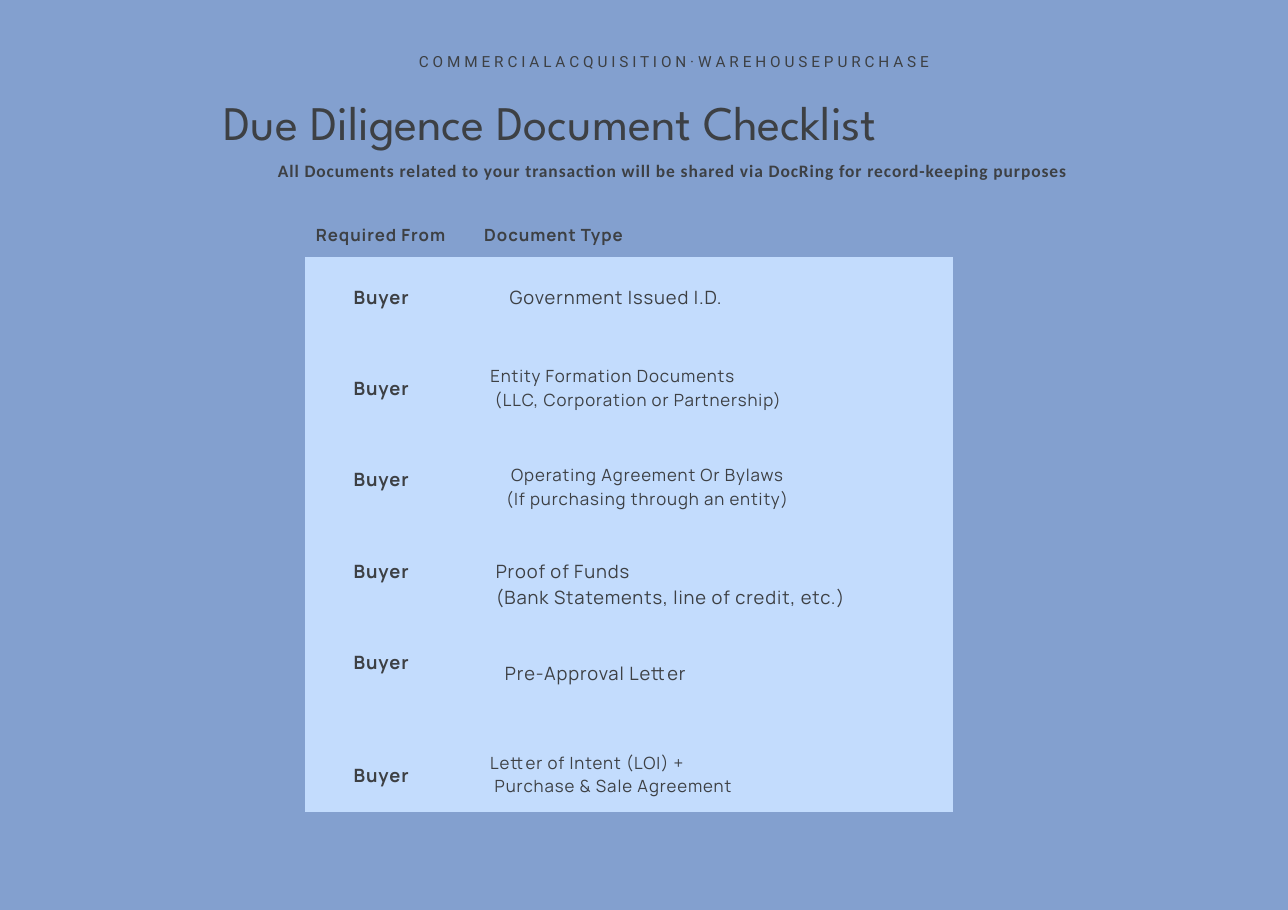
from dataclasses import dataclass

import pptx
import pptx.dml.color
import pptx.enum.text
import pptx.oxml.ns
import pptx.util
from lxml import etree
from pptx.util import Inches

ALIGN = pptx.enum.text.PP_ALIGN


@dataclass(frozen=True)
class Theme:
    background: str = "83A0CF"
    panel: str = "C3DCFD"
    ink: str = "3D4044"
    title_font: str = "League Spartan"
    caption_font: str = "Roboto"
    note_font: str = "Calibri"
    body_font: str = "Manrope"
    title_size: float = 31.5
    caption_size: float = 10
    note_size: float = 11.4
    small_size: float = 11
    body_size: float = 12
    tracking: float = 0.6


THEME = Theme()


@dataclass(frozen=True)
class Style:
    font: str
    size: float
    leading: float
    bold: bool = False
    tracking: float = THEME.tracking


TITLE = Style(THEME.title_font, THEME.title_size, 37.8, tracking=0)
CAPTION = Style(THEME.caption_font, THEME.caption_size, 14, tracking=0.07)
NOTE = Style(THEME.note_font, THEME.note_size, 13.6, bold=True)
HEADING = Style(THEME.body_font, THEME.small_size, 15.4, bold=True)
PARTY = Style(THEME.body_font, THEME.body_size, 16.8, bold=True)
BODY = Style(THEME.body_font, THEME.body_size, 16.8)
SMALL = Style(THEME.body_font, THEME.small_size, 15.4)


@dataclass(frozen=True)
class Label:
    lines: tuple[str, ...]
    left: float
    top: float
    width: float
    height: float
    style: Style
    align: ALIGN = ALIGN.CENTER
    second_indent: float = 0  # left margin of the lines after the first


HEADINGS = [
    Label(("C O M M E R C I A L A C Q U I S I T I O N · W A R E H O U S E P U R C H A S E",),
          3.68, 0.45, 4.88, 0.38, CAPTION),
    Label(("All Documents related to your transaction will be shared via DocRing "
           "for record-keeping purposes",), 0.71, 1.45, 10.8, 0.2, NOTE),
    Label(("Required From",), 2.77, 2.01, 1.37, 0.22, HEADING),
    Label(("Document Type",), 4.34, 2.01, 1.37, 0.22, HEADING),
]

DOCUMENTS = [
    Label(("Government Issued I.D.",), 4.55, 2.56, 2.08, 0.23, BODY),
    Label(("Entity Formation Documents", "(LLC, Corporation or Partnership)"),
          4.45, 3.29, 2.79, 0.43, SMALL, ALIGN.LEFT, 0.04),
    Label(("Operating Agreement Or Bylaws", "(If purchasing through an entity)"),
          4.5, 4.19, 2.75, 0.43, SMALL),
    Label(("Proof of Funds", "(Bank Statements, line of credit, etc.)"),
          4.5, 5.05, 3.37, 0.46, BODY, ALIGN.LEFT),
    Label(("Pre-Approval Letter",), 4.52, 5.98, 1.77, 0.23, BODY),
    Label(("Letter of Intent (LOI) +", "Purchase & Sale Agreement"),
          4.45, 6.8, 2.37, 0.43, SMALL, ALIGN.JUSTIFY, 0.04),
]

PARTY_TOPS = [2.56 + 0.83 * row for row in range(5)] + [6.9]
PARTIES = [Label(("Buyer",), 2.94, top, 1.04, 0.23, PARTY) for top in PARTY_TOPS]

COLUMN_WIDTHS = (1.43, 4.45)
ROW_HEIGHT = 0.84


def rgb(value: str) -> pptx.dml.color.RGBColor:
    return pptx.dml.color.RGBColor.from_string(value)


def fill_label(sp, label: Label) -> None:
    """Place a text box or placeholder and write the label's lines into it."""
    sp.left, sp.top = Inches(label.left), Inches(label.top)
    sp.width, sp.height = Inches(label.width), Inches(label.height)
    tf = sp.text_frame
    tf.word_wrap = True
    tf.auto_size = pptx.enum.text.MSO_AUTO_SIZE.SHAPE_TO_FIT_TEXT
    tf.vertical_anchor = pptx.enum.text.MSO_ANCHOR.TOP
    tf.margin_left = tf.margin_top = tf.margin_right = tf.margin_bottom = 0
    style = label.style
    for i, line in enumerate(label.lines):
        p = tf.add_paragraph() if i else tf.paragraphs[0]
        p.text = line
        p.alignment = label.align
        p.line_spacing = pptx.util.Pt(style.leading)
        p.font.name = style.font
        p.font.size = pptx.util.Pt(style.size)
        p.font.bold = style.bold
        p.font.color.rgb = rgb(THEME.ink)
        pPr = p._p.get_or_add_pPr()
        pPr.get_or_add_defRPr().set("spc", str(round(style.tracking * 100)))
        if i and label.second_indent:
            pPr.set("marL", str(Inches(label.second_indent)))


def add_label(s, label: Label) -> None:
    fill_label(s.shapes.add_textbox(0, 0, 0, 0), label)


def add_panel(s) -> None:
    """Add the borderless table that backs the checklist."""
    rows = len(DOCUMENTS)
    table = s.shapes.add_table(
        rows, len(COLUMN_WIDTHS), Inches(2.77), Inches(2.33),
        Inches(sum(COLUMN_WIDTHS)), Inches(ROW_HEIGHT * rows)).table
    for column, width in zip(table.columns, COLUMN_WIDTHS):
        column.width = Inches(width)
    for row in table.rows:
        row.height = Inches(ROW_HEIGHT)
    qn = pptx.oxml.ns.qn
    for cell in table.iter_cells():
        tcPr = cell._tc.get_or_add_tcPr()
        for side in ("a:lnL", "a:lnR", "a:lnT", "a:lnB"):
            border = etree.SubElement(tcPr, qn(side), w="0")
            etree.SubElement(border, qn("a:noFill"))
        cell.fill.solid()
        cell.fill.fore_color.rgb = rgb(THEME.panel)


def main() -> None:
    prs = pptx.Presentation()
    prs.slide_width, prs.slide_height = Inches(11.69), Inches(8.26)
    s = prs.slides.add_slide(prs.slide_layouts.get_by_name("Title Only"))
    s.background.fill.solid()
    s.background.fill.fore_color.rgb = rgb(THEME.background)
    fill_label(s.shapes.title, Label(("Due Diligence Document Checklist",),
                                     2.03, 0.84, 8, 0.51, TITLE, ALIGN.LEFT))
    add_panel(s)
    for label in HEADINGS + PARTIES + DOCUMENTS:
        add_label(s, label)
    prs.save("out.pptx")


if __name__ == "__main__":
    main()
